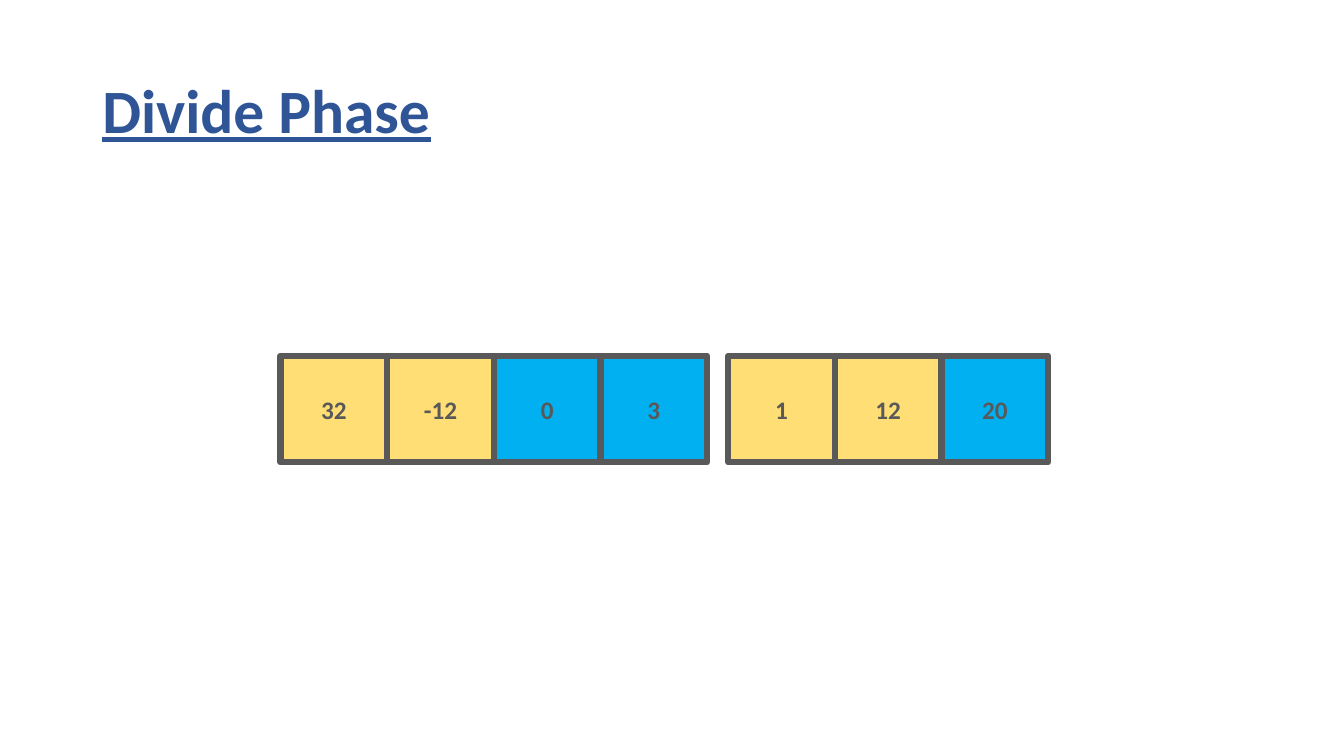
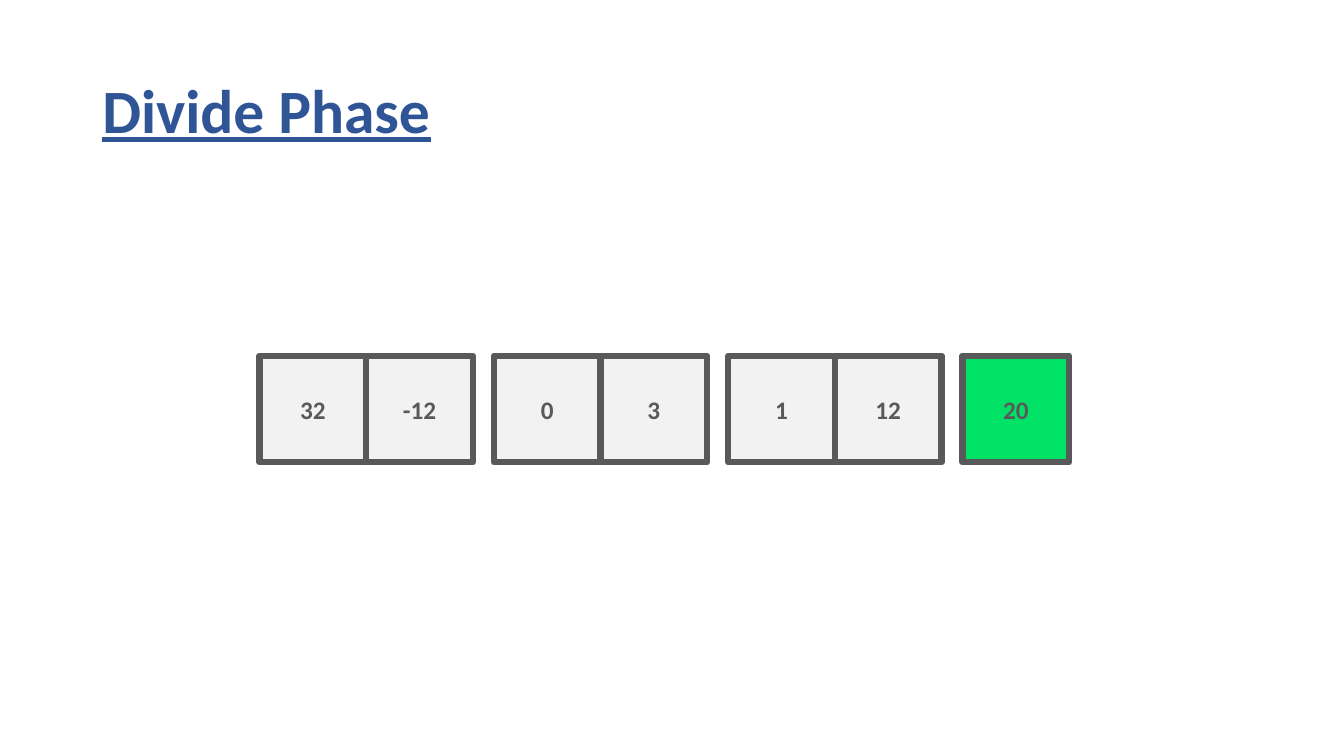
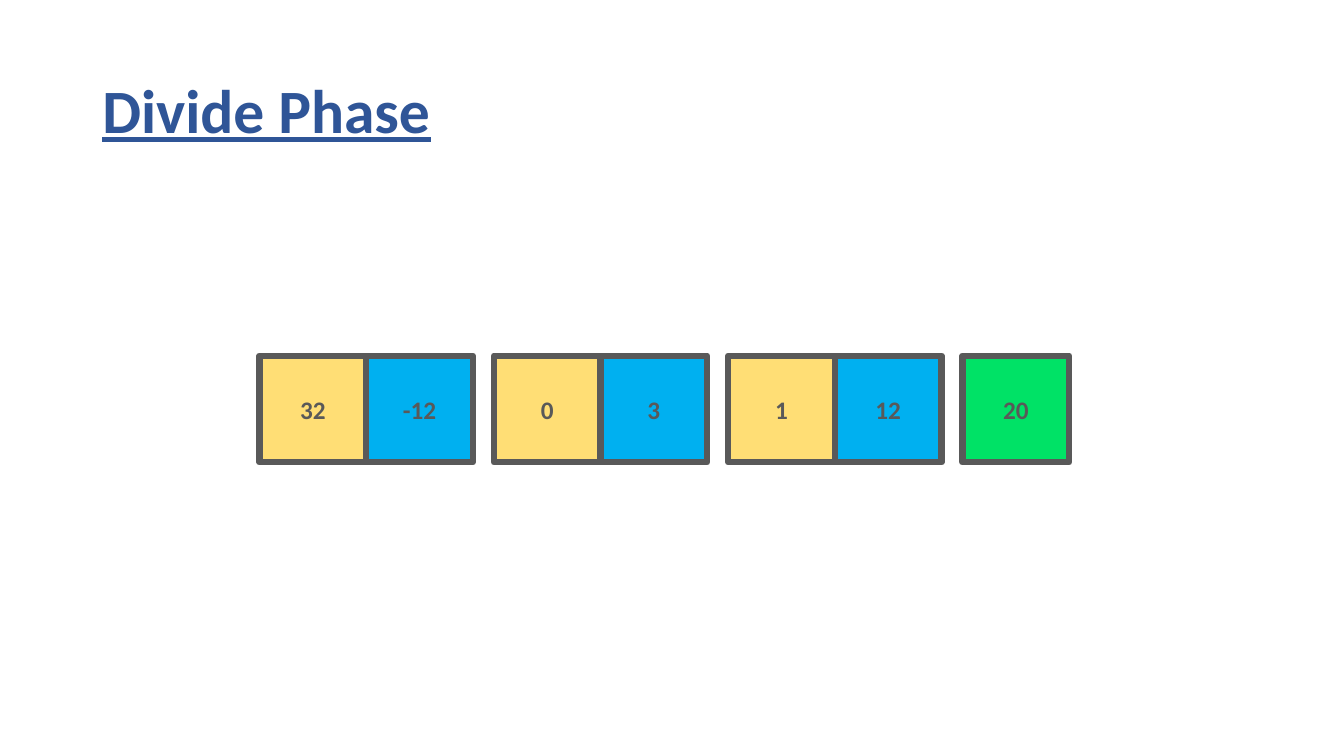
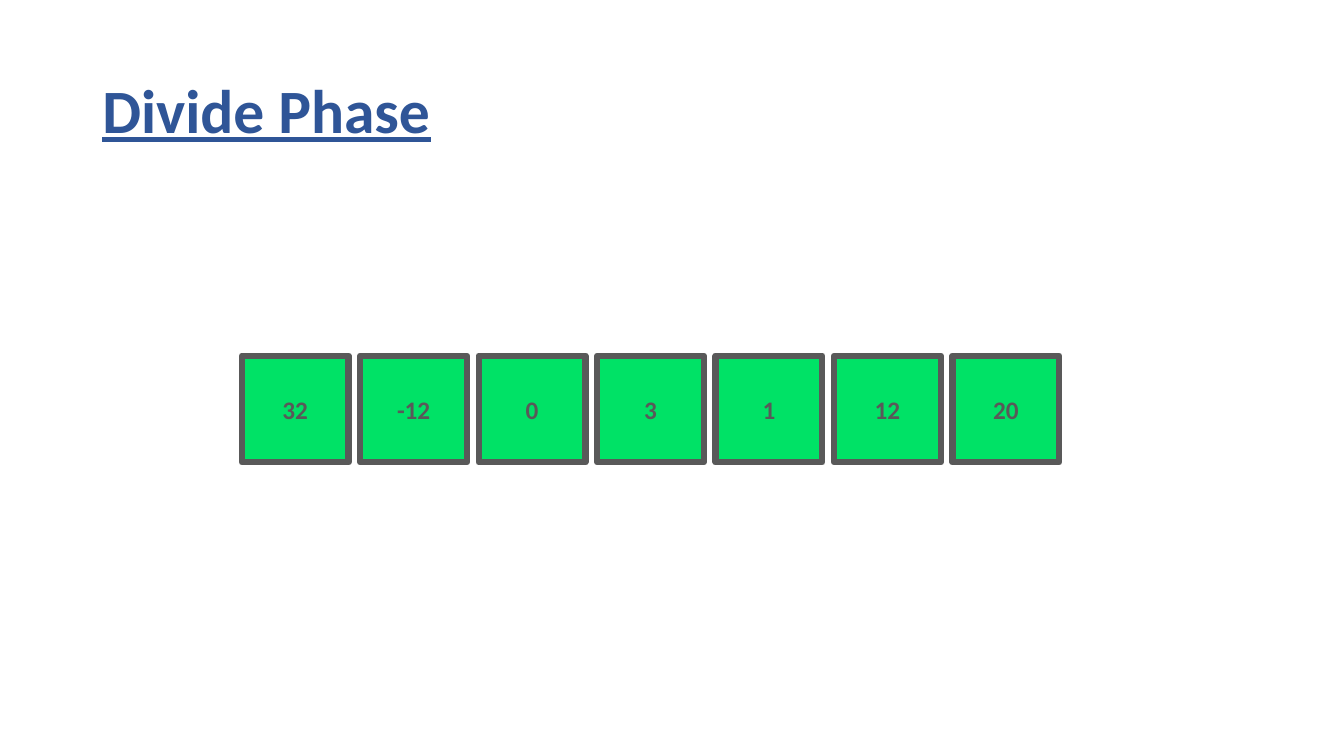
from dataclasses import dataclass

from pptx import Presentation
from pptx.dml.color import RGBColor
from pptx.enum.shapes import MSO_SHAPE
from pptx.enum.text import MSO_ANCHOR, PP_ALIGN
from pptx.slide import Slide
from pptx.text.text import TextFrame
from pptx.util import Inches, Length, Pt

COLUMNS, ROWS = 160, 90


@dataclass(frozen=True)
class Theme:
    font: str = "Calibri"
    title_size: int = 44
    value_size: int = 18
    border_width: float = 4.5
    title: str = "2F5597"
    ink: str = "595959"
    left: str = "FFDE75"
    right: str = "00B0F0"
    plain: str = "F2F2F2"
    single: str = "00E266"


@dataclass(frozen=True)
class Box:
    column: float
    row: float
    columns: float
    rows: float

    def lengths(self) -> tuple[Length, ...]:
        return tuple(grid(n) for n in (self.column, self.row, self.columns, self.rows))


@dataclass(frozen=True)
class Phase:
    start: float
    gap: float
    groups: tuple[tuple[str, ...], ...]


THEME = Theme()
TITLE = "Divide Phase"
TITLE_BOX = Box(11, 4.8, 138, 17.4)
VALUES = (32, -12, 0, 3, 1, 12, 20)
CELL = 12.7
CELL_ROW = 42.35
WIDE_GAP, NARROW_GAP = 2.5, 1.4

LEFT, RIGHT = THEME.left, THEME.right
PLAIN, SINGLE = THEME.plain, THEME.single

PHASES = (
    Phase(33.4, WIDE_GAP, ((LEFT, LEFT, RIGHT, RIGHT), (LEFT, LEFT, RIGHT))),
    Phase(30.9, WIDE_GAP, ((PLAIN, PLAIN),) * 3 + ((SINGLE,),)),
    Phase(30.9, WIDE_GAP, ((LEFT, RIGHT),) * 3 + ((SINGLE,),)),
    Phase(28.8, NARROW_GAP, ((SINGLE,),) * len(VALUES)),
)


def grid(units: float) -> Length:
    return Inches(units / 12)


def write(frame: TextFrame, text: str, size: int, color: str,
          align: PP_ALIGN, underline: bool = False) -> None:
    frame.word_wrap = True
    frame.vertical_anchor = MSO_ANCHOR.MIDDLE
    paragraph = frame.paragraphs[0]
    paragraph.alignment = align
    run = paragraph.add_run()
    run.text = text
    run.font.name = THEME.font
    run.font.size = Pt(size)
    run.font.bold = True
    run.font.underline = underline
    run.font.color.rgb = RGBColor.from_string(color)


def draw_title(slide: Slide) -> None:
    frame = slide.shapes.add_textbox(*TITLE_BOX.lengths()).text_frame
    write(frame, TITLE, THEME.title_size, THEME.title, PP_ALIGN.LEFT, underline=True)
    frame.paragraphs[0].line_spacing = 0.9


def draw_cell(slide: Slide, box: Box, value: int, fill: str) -> None:
    cell = slide.shapes.add_shape(MSO_SHAPE.RECTANGLE, *box.lengths())
    cell.shadow.inherit = False
    cell.fill.solid()
    cell.fill.fore_color.rgb = RGBColor.from_string(fill)
    cell.line.color.rgb = RGBColor.from_string(THEME.ink)
    cell.line.width = Pt(THEME.border_width)
    write(cell.text_frame, str(value), THEME.value_size, THEME.ink, PP_ALIGN.CENTER)


def draw_phase(slide: Slide, phase: Phase) -> None:
    draw_title(slide)
    values = iter(VALUES)
    column = phase.start
    for group in phase.groups:
        for fill in group:
            draw_cell(slide, Box(column, CELL_ROW, CELL, CELL), next(values), fill)
            column += CELL
        column += phase.gap


def main() -> None:
    deck = Presentation()
    deck.slide_width, deck.slide_height = grid(COLUMNS), grid(ROWS)
    blank = deck.slide_layouts[6]
    for phase in PHASES:
        draw_phase(deck.slides.add_slide(blank), phase)
    deck.save("out.pptx")


main()
